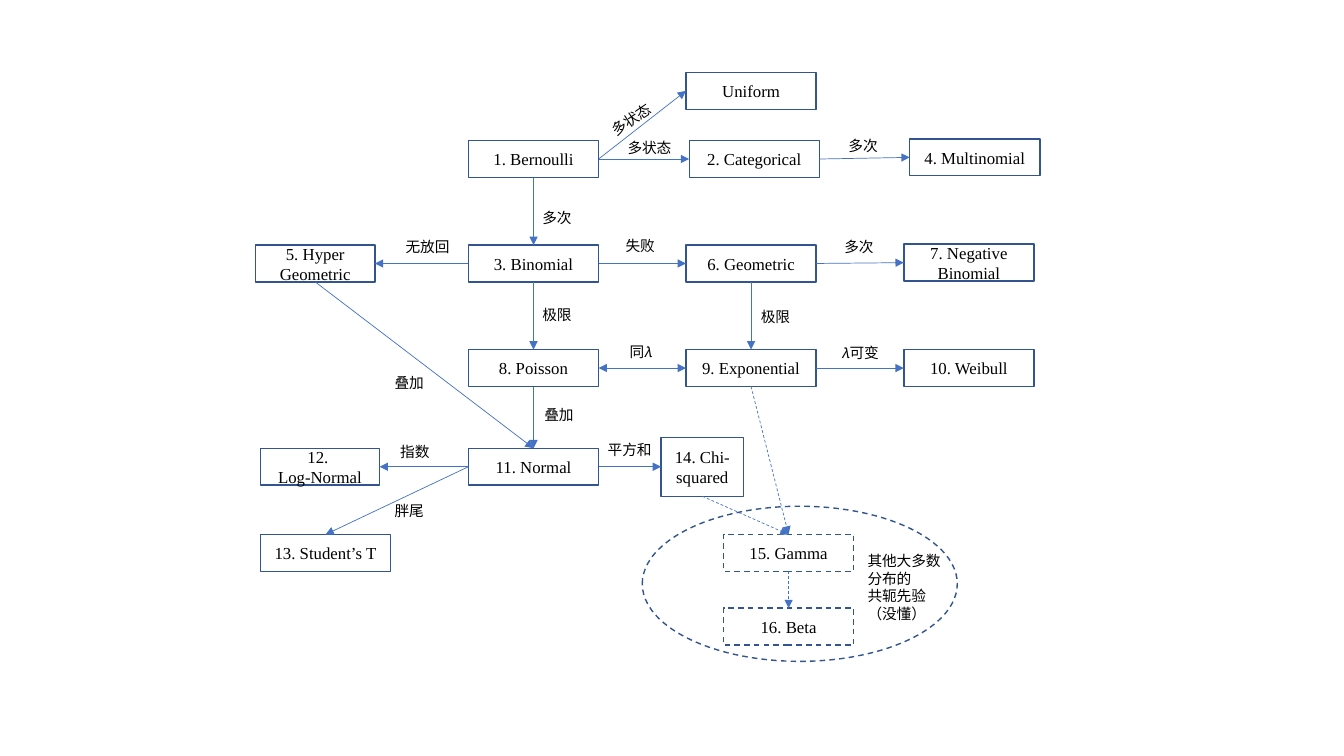
from lxml import etree
from pptx import Presentation
from pptx.dml.color import RGBColor
from pptx.enum.dml import MSO_LINE
from pptx.enum.shapes import MSO_CONNECTOR, MSO_SHAPE
from pptx.enum.text import MSO_ANCHOR, MSO_AUTO_SIZE, PP_ALIGN
from pptx.oxml.ns import qn
from pptx.util import Pt

# Style
COLORS = {"border": "325491", "arrow": "4472C4", "text": "000000"}
FONT = "Times New Roman"
BOX_W, BOX_H, NARROW_W = 93, 26.4, 85.2
COL = {"side": 186, "mid": 334.6, "right": 490, "far": 645.6}
ROW = {"bernoulli": 100.4, "binomial": 175, "poisson": 249.7,
       "normal": 320.2, "gamma": 381.8, "beta": 434.4}

# Distributions: key -> text, left, top, then width and height if special
BOXES = {
    "bernoulli": ("1. Bernoulli", COL["mid"], ROW["bernoulli"]),
    "uniform": ("Uniform", COL["right"], 51.7),
    "categorical": ("2. Categorical", 492.3, ROW["bernoulli"]),
    "multinomial": ("4. Multinomial", 649.8, 99.2),
    "binomial": ("3. Binomial", COL["mid"], ROW["binomial"]),
    "hyper": ("5. Hyper Geometric", 182.6, ROW["binomial"], NARROW_W),
    "geometric": ("6. Geometric", COL["right"], ROW["binomial"]),
    "negative": ("7. Negative Binomial", COL["far"], 174.4),
    "poisson": ("8. Poisson", COL["mid"], ROW["poisson"]),
    "exponential": ("9. Exponential", COL["right"], ROW["poisson"]),
    "weibull": ("10. Weibull", COL["far"], ROW["poisson"]),
    "normal": ("11. Normal", COL["mid"], ROW["normal"]),
    "lognormal": ("12. \vLog-Normal", COL["side"], ROW["normal"], NARROW_W),
    "student": ("13. Student’s T", COL["side"], ROW["gamma"]),
    "chi": ("14. Chi-squared", 472.2, 312.3, 59, 42.2),
    "gamma": ("15. Gamma", 516.8, ROW["gamma"]),
    "beta": ("16. Beta", 516.8, ROW["beta"]),
}
DASHED_BOXES = {"gamma", "beta"}
PRIOR_GROUP = (458.8, 361.6, 225, 110.8)

# Relations: from, side, to, side
ARROWS = [
    ("bernoulli", "right", "uniform", "left"),
    ("bernoulli", "right", "categorical", "left"),
    ("categorical", "right", "multinomial", "left"),
    ("bernoulli", "bottom", "binomial", "top"),
    ("binomial", "left", "hyper", "right"),
    ("binomial", "right", "geometric", "left"),
    ("geometric", "right", "negative", "left"),
    ("binomial", "bottom", "poisson", "top"),
    ("geometric", "bottom", "exponential", "top"),
    ("exponential", "left", "poisson", "right"),
    ("exponential", "right", "weibull", "left"),
    ("poisson", "bottom", "normal", "top"),
    ("hyper", "bottom", "normal", "top"),
    ("normal", "left", "lognormal", "right"),
    ("normal", "left", "student", "top"),
    ("normal", "right", "chi", "left"),
    ("exponential", "bottom", "gamma", "top"),
    ("chi", "bottom", "gamma", "top"),
    ("gamma", "bottom", "beta", "top"),
]
TWO_WAY = {("exponential", "poisson")}

# Labels: text, left, top, rotation
LABELS = [
    ("多状态", 428.4, 74.9, 325.7), ("多状态", 441.2, 95.5, 0),
    ("多次", 599, 94.2, 0), ("多次", 380.3, 145.5, 0),
    ("无放回", 282.7, 166.3, 0), ("失败", 439.8, 165.6, 0),
    ("多次", 596, 166.3, 0), ("极限", 380.3, 215, 0),
    ("极限", 536.4, 216.2, 0), ("同𝜆", 442.6, 241.3, 0),
    ("𝜆可变", 594, 241.9, 0), ("叠加", 274.8, 263.1, 0),
    ("叠加", 381.8, 286.4, 0), ("指数", 278.8, 312.5, 0),
    ("胖尾", 274.8, 354.8, 0), ("平方和", 427, 311.2, 0),
    ("其他大多数\v分布的\v共轭先验\v（没懂）", 612.6, 390.8, 0),
]


def color(name):
    return RGBColor.from_string(COLORS[name])


def style_line(line, name, width, dashed):
    line.color.rgb = color(name)
    line.width = Pt(width)
    if dashed:
        line.dash_style = MSO_LINE.DASH


def write(shape, text, size, align):
    paragraph = shape.text_frame.paragraphs[0]
    paragraph.text = text
    paragraph.alignment = align
    for run in paragraph.runs:
        run.font.name, run.font.size = FONT, Pt(size)
        run.font.color.rgb = color("text")


def add_outline(kind, left, top, width, height, dashed):
    shape = slide.shapes.add_shape(kind, Pt(left), Pt(top), Pt(width), Pt(height))
    shape.shadow.inherit = False
    shape.fill.background()
    style_line(shape.line, "border", 1, dashed)
    return shape


def add_box(key, text, left, top, width=BOX_W, height=BOX_H):
    box = add_outline(MSO_SHAPE.RECTANGLE, left, top, width, height, key in DASHED_BOXES)
    box.text_frame.word_wrap = True
    box.text_frame.vertical_anchor = MSO_ANCHOR.MIDDLE
    write(box, text, 12, PP_ALIGN.CENTER)
    return box


def add_arrow(start, start_side, end, end_side):
    sites = ("top", "left", "bottom", "right")
    arrow = slide.shapes.add_connector(MSO_CONNECTOR.STRAIGHT, 0, 0, 0, 0)
    arrow.begin_connect(boxes[start], sites.index(start_side))
    arrow.end_connect(boxes[end], sites.index(end_side))
    style_line(arrow.line, "arrow", 0.5, end in DASHED_BOXES)
    properties = arrow._element.spPr
    ends = ["headEnd", "tailEnd"] if (start, end) in TWO_WAY else ["tailEnd"]
    for tag in ends:
        etree.SubElement(properties.find(qn("a:ln")), qn("a:" + tag), type="triangle")
    etree.SubElement(properties, qn("a:effectLst"))


def add_label(text, left, top, rotation):
    # A lambda is half as wide as a Chinese character
    lines = text.split("\v")
    chars = max(len(line) - 0.5 * line.count("𝜆") for line in lines)
    label = slide.shapes.add_textbox(Pt(left), Pt(top), Pt(15.5 + 10.5 * chars),
                                     Pt(8.4 + 12.5 * len(lines)))
    label.rotation = rotation
    label.text_frame.word_wrap = False
    label.text_frame.auto_size = MSO_AUTO_SIZE.SHAPE_TO_FIT_TEXT
    write(label, text, 10.5, PP_ALIGN.LEFT)


# Build the slide
prs = Presentation()
prs.slide_width, prs.slide_height = Pt(960), Pt(540)
slide = prs.slides.add_slide(prs.slide_layouts[6])

boxes = {key: add_box(key, *spec) for key, spec in BOXES.items()}
for relation in ARROWS:
    add_arrow(*relation)
for label_spec in LABELS:
    add_label(*label_spec)
add_outline(MSO_SHAPE.OVAL, *PRIOR_GROUP, True)

prs.save("out.pptx")
